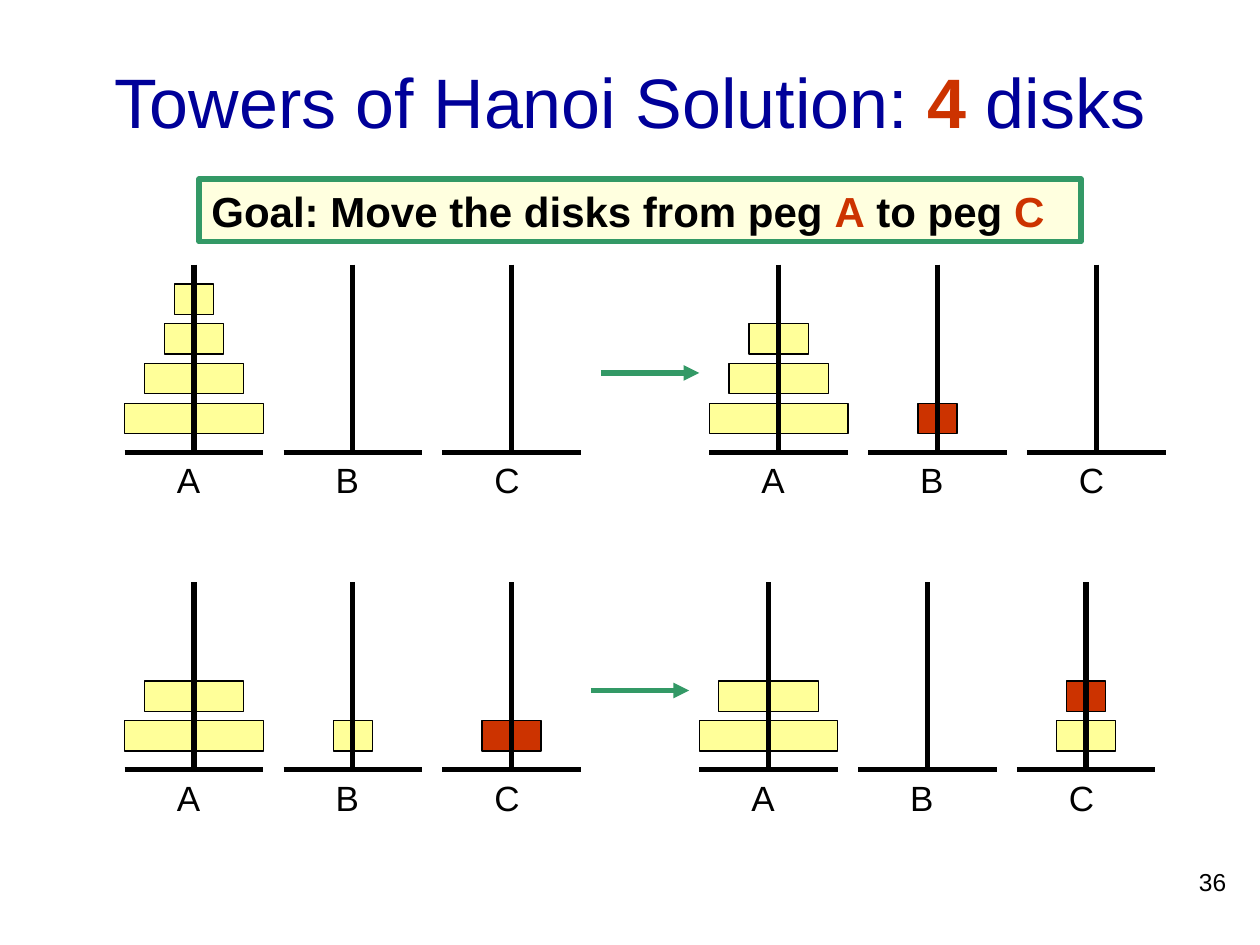
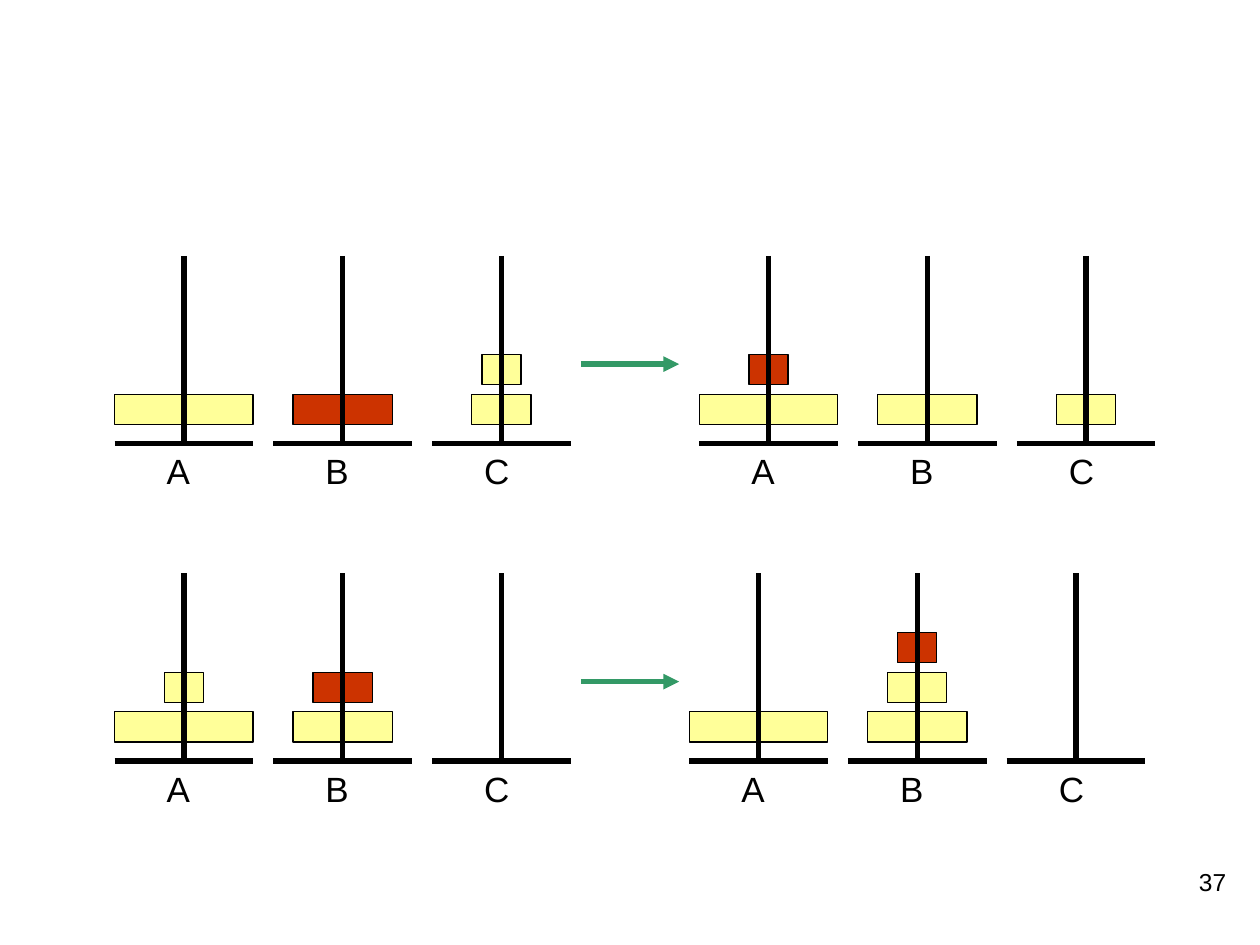
import dataclasses
import typing

import pptx
import pptx.dml.color
import pptx.enum.shapes
import pptx.enum.text
import pptx.oxml
import pptx.oxml.ns
import pptx.util

Inches = pptx.util.Inches
Pt = pptx.util.Pt

COLORS = {
    "black": "000000",
    "title": "000099",
    "accent": "CC3300",
    "disk": "FFFF99",
    "goal": "FFFFDF",
    "green": "339966",
}
FONT = "Arial"

# Peg and disk measures, in inches
PEG_NAMES = "ABC"
PEG_GAP = 1.26
PEG_HEIGHT = 1.49
BASE_WIDTH = 1.1
DISK_WIDTHS = {1: 0.31, 2: 0.47, 3: 0.79, 4: 1.1}
DISK_HEIGHT = 0.24
DISK_STEP = 0.315
LOWEST_DISK = 0.39
LABEL_WIDTH, LABEL_HEIGHT = 0.47, 0.44
ARROW_LENGTH, ARROW_RISE = 0.78, 0.63


@dataclasses.dataclass
class Run:
    text: str
    color: str = "black"
    bold: bool = False


@dataclasses.dataclass
class Towers:
    """Disk sizes on each peg from bottom to top, and the disk just moved."""
    first_peg: float
    pegs: tuple[tuple[int, ...], ...]
    moved: int = 0


@dataclasses.dataclass
class Row:
    base: float
    arrow_left: float
    before: Towers
    after: Towers


@dataclasses.dataclass
class Page:
    number: int
    rows: list[Row]
    has_heading: bool = False


PAGES = [
    Page(36, [
        Row(3.59, 4.77, Towers(1.54, ((4, 3, 2, 1), (), ())),
            Towers(6.18, ((4, 3, 2), (1,), ()), moved=1)),
        Row(6.11, 4.69, Towers(1.54, ((4, 3), (1,), (2,)), moved=2),
            Towers(6.1, ((4, 3), (), (2, 1)), moved=1)),
    ], has_heading=True),
    Page(37, [
        Row(3.52, 4.61, Towers(1.46, ((4,), (3,), (2, 1)), moved=3),
            Towers(6.1, ((4, 1), (3,), (2,)), moved=1)),
        Row(6.04, 4.61, Towers(1.46, ((4, 1), (3, 2), ()), moved=2),
            Towers(6.02, ((4,), (3, 2, 1), ()), moved=1)),
    ]),
]


def rgb(name: str) -> pptx.dml.color.RGBColor:
    return pptx.dml.color.RGBColor.from_string(COLORS[name])


def write(shape: typing.Any, runs: list[Run], size: float, align: str = "LEFT",
          anchor: str = "TOP", space_before: float = 0) -> None:
    frame = shape.text_frame
    frame.word_wrap = True
    frame.vertical_anchor = getattr(pptx.enum.text.MSO_ANCHOR, anchor)
    paragraph = frame.paragraphs[0]
    paragraph.alignment = getattr(pptx.enum.text.PP_ALIGN, align)
    paragraph.space_before = Pt(space_before)
    for item in runs:
        run = paragraph.add_run()
        run.text = item.text
        run.font.name = FONT
        run.font.size = Pt(size)
        run.font.bold = item.bold
        run.font.color.rgb = rgb(item.color)


def add_text(slide: typing.Any, left: float, top: float, width: float,
             height: float) -> typing.Any:
    return slide.shapes.add_textbox(
        Inches(left), Inches(top), Inches(width), Inches(height))


def add_box(slide: typing.Any, left: float, top: float, width: float, height: float,
            fill: str, line: str, line_width: float) -> typing.Any:
    shape = slide.shapes.add_shape(
        pptx.enum.shapes.MSO_SHAPE.RECTANGLE,
        Inches(left), Inches(top), Inches(width), Inches(height))
    shape.shadow.inherit = False
    shape.fill.solid()
    shape.fill.fore_color.rgb = rgb(fill)
    shape.line.color.rgb = rgb(line)
    shape.line.width = Pt(line_width)
    return shape


def add_line(slide: typing.Any, x1: float, y1: float, x2: float, y2: float,
             color: str = "black", arrow: bool = False) -> None:
    line = slide.shapes.add_connector(
        pptx.enum.shapes.MSO_CONNECTOR.STRAIGHT,
        Inches(x1), Inches(y1), Inches(x2), Inches(y2))
    line.line.color.rgb = rgb(color)
    line.line.width = Pt(3)
    if arrow:
        head = pptx.oxml.parse_xml(
            f'<a:tailEnd {pptx.oxml.ns.nsdecls("a")} type="triangle"/>')
        line.line._get_or_add_ln().append(head)
    no_effects = pptx.oxml.parse_xml(f'<a:effectLst {pptx.oxml.ns.nsdecls("a")}/>')
    line._element.spPr.append(no_effects)


def add_towers(slide: typing.Any, towers: Towers, base: float) -> None:
    for index, (name, disks) in enumerate(zip(PEG_NAMES, towers.pegs)):
        center = towers.first_peg + index * PEG_GAP
        # Disks lie behind the peg
        for level, size in enumerate(disks):
            width = DISK_WIDTHS[size]
            top = base - LOWEST_DISK - level * DISK_STEP
            fill = "accent" if size == towers.moved else "disk"
            add_box(slide, center - width / 2, top, width, DISK_HEIGHT,
                    fill, "black", 0.75)
        # Peg, base and label
        add_line(slide, center, base - PEG_HEIGHT, center, base)
        add_line(slide, center - BASE_WIDTH / 2, base, center + BASE_WIDTH / 2, base)
        label = add_text(slide, center - LABEL_WIDTH / 2, base,
                         LABEL_WIDTH, LABEL_HEIGHT)
        write(label, [Run(name)], 20, space_before=12.5)


def add_heading(slide: typing.Any) -> None:
    title = add_text(slide, 0.75, 0.17, 8.5, 1.25)
    write(title, [Run("Towers of Hanoi Solution: ", "title"),
                  Run("4", "accent", True), Run(" disks", "title")],
          40, "CENTER", "MIDDLE")
    goal = add_box(slide, 1.58, 1.42, 7, 0.5, "goal", "green", 3)
    write(goal, [Run("Goal: Move the disks from peg ", bold=True),
                 Run("A", "accent", True), Run(" to peg ", bold=True),
                 Run("C", "accent", True)], 24, space_before=15)


def add_page(presentation: typing.Any, page: Page) -> None:
    slide = presentation.slides.add_slide(presentation.slide_layouts[6])
    if page.has_heading:
        add_heading(slide)
    for row in page.rows:
        add_towers(slide, row.before, row.base)
        add_towers(slide, row.after, row.base)
        arrow_y = row.base - ARROW_RISE
        add_line(slide, row.arrow_left, arrow_y, row.arrow_left + ARROW_LENGTH,
                 arrow_y, "green", arrow=True)
    # Page number
    write(add_text(slide, 7.75, 6.83, 2.08, 0.5), [Run(str(page.number))], 14, "RIGHT")


def main() -> None:
    presentation = pptx.Presentation()
    presentation.slide_width = Inches(10)
    presentation.slide_height = Inches(7.5)
    for page in PAGES:
        add_page(presentation, page)
    presentation.save("out.pptx")


if __name__ == "__main__":
    main()
